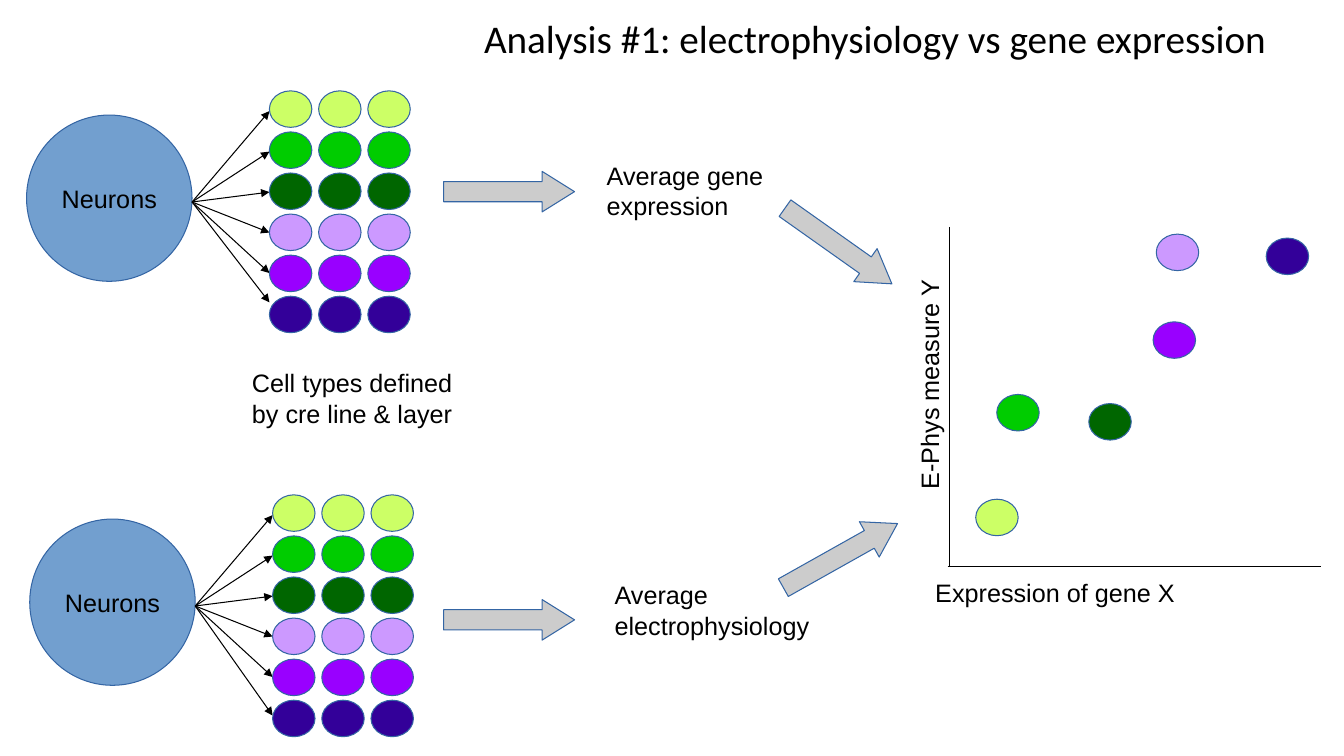
from dataclasses import dataclass
from lxml import etree
from pptx import Presentation
from pptx.dml.color import RGBColor
from pptx.enum.shapes import MSO_CONNECTOR, MSO_SHAPE
from pptx.enum.text import MSO_ANCHOR, MSO_AUTO_SIZE, PP_ALIGN
from pptx.oxml.ns import qn
from pptx.util import Cm, Pt


@dataclass(frozen=True)
class Theme:
    """Colours, fonts and sizes shared by the whole slide."""
    ink: str = "000000"
    outline: str = "3465A4"
    neuron: str = "729FCF"
    arrow: str = "CCCCCC"
    cell_types: tuple = ("CCFF66", "00CC00", "006600", "CC99FF", "9900FF", "330099")
    title_font: str = "Calibri"
    body_font: str = "Arial"
    title_size: float = 28
    body_size: float = 18
    line_width: float = 0.75
    dot_size: tuple = (1.07, 0.92)


THEME = Theme()


def apply_format(target, values):
    """Set every attribute named in values on the target."""
    for name, value in values.items():
        setattr(target, name, value)


def write_text(shape, text, font=THEME.body_font, size=THEME.body_size,
               align=PP_ALIGN.LEFT, anchor=MSO_ANCHOR.TOP, wrap=True):
    """Fill a shape with one formatted paragraph."""
    frame = shape.text_frame
    apply_format(frame, {"text": text, "word_wrap": wrap, "vertical_anchor": anchor,
                         "auto_size": MSO_AUTO_SIZE.NONE})
    paragraph = frame.paragraphs[0]
    paragraph.alignment = align
    apply_format(paragraph.font, {"name": font, "size": Pt(size)})
    paragraph.font.color.rgb = RGBColor.from_string(THEME.ink)


def add_label(slide, box, text, rotation=0):
    """Add a wrapped text box in the given box."""
    label = slide.shapes.add_textbox(*map(Cm, box))
    label.rotation = rotation
    write_text(label, text)


def add_figure(slide, kind, box, fill):
    """Add a filled and outlined preset shape."""
    shape = slide.shapes.add_shape(kind, *map(Cm, box))
    shape.shadow.inherit = False
    shape.fill.solid()
    shape.fill.fore_color.rgb = RGBColor.from_string(fill)
    shape.line.color.rgb = RGBColor.from_string(THEME.outline)
    shape.line.width = Pt(THEME.line_width)
    return shape


def add_dot(slide, left, top, color):
    """Add one cell-type dot."""
    add_figure(slide, MSO_SHAPE.OVAL, (left, top, *THEME.dot_size), color)


def add_line(slide, start, end, arrowhead=False):
    """Add a thin straight line, with an optional arrowhead at its end."""
    line = slide.shapes.add_connector(MSO_CONNECTOR.STRAIGHT, *map(Cm, (*start, *end)))
    line.line.color.rgb = RGBColor.from_string(THEME.ink)
    line.line.width = Pt(THEME.line_width)
    if arrowhead:
        etree.SubElement(line.line._get_or_add_ln(), qn("a:tailEnd"), type="triangle")
    etree.SubElement(line._element.spPr, qn("a:effectLst"))


def add_block_arrow(slide, left, top, rotation=0):
    """Add a grey block arrow."""
    arrow = add_figure(slide, MSO_SHAPE.RIGHT_ARROW, (left, top, 3.3, 1.02), THEME.arrow)
    arrow.adjustments[0], arrow.adjustments[1] = 0.5, 0.8
    arrow.rotation = rotation


def add_title(slide, box):
    """Place and format the title placeholder."""
    title = slide.shapes.title
    apply_format(title, dict(zip(("left", "top", "width", "height"), map(Cm, box))))
    write_text(title, "Analysis #1: electrophysiology vs gene expression",
               THEME.title_font, THEME.title_size, PP_ALIGN.CENTER)


def add_neuron_pool(slide, left, top, last_tip):
    """Draw the neurons circle fanning out to its grid of cell types."""
    circle = add_figure(slide, MSO_SHAPE.OVAL, (left, top + 0.61, 4.17, 4.19), THEME.neuron)
    write_text(circle, "Neurons", align=PP_ALIGN.CENTER, anchor=MSO_ANCHOR.MIDDLE, wrap=False)
    grid_left = left + 6.12
    tips = [0.51 + 1.02 * row for row in range(5)] + [last_tip]
    for row, (color, tip) in enumerate(zip(THEME.cell_types, tips)):
        add_line(slide, (left + 4.17, top + 2.8), (grid_left, top + tip), arrowhead=True)
        for column in range(3):
            add_dot(slide, grid_left + 1.24 * column, top + 1.035 * row, color)


def add_scatter(slide, left, top, width, height):
    """Draw the axes, axis labels and one dot per cell type."""
    add_line(slide, (left, top), (left, top + height))
    add_line(slide, (left - 0.05, top + height), (left + width, top + height))
    add_label(slide, (left - 0.61, top + height + 0.15, 7.11, 1.68), "Expression of gene X")
    add_label(slide, (left - 3.81, top + 2.39, 7.26, 1.68), "E-Phys measure Y", 270)
    positions = [(0.66, 6.86), (1.19, 4.22), (3.51, 4.45),
                 (5.21, 0.18), (5.13, 2.39), (7.98, 0.28)]
    for color, (x, y) in zip(THEME.cell_types, positions):
        add_dot(slide, left + x, top + y, color)


def main():
    """Build and save the slide."""
    presentation = Presentation()
    apply_format(presentation, {"slide_width": Cm(33.87), "slide_height": Cm(19.05)})
    slide = presentation.slides.add_slide(presentation.slide_layouts[5])
    add_title(slide, (11.51, 0.23, 21.08, 2.62))
    add_neuron_pool(slide, 0.67, 2.29, 5.33)
    add_neuron_pool(slide, 0.75, 12.47, 5.56)
    add_label(slide, (6.1, 9.14, 6.35, 1.68), "Cell types defined by cre line & layer")
    add_label(slide, (15.04, 3.91, 4.52, 1.68), "Average gene expression")
    add_label(slide, (15.24, 14.48, 5.44, 1.68), "Average electrophysiology")
    for arrow in ((11.18, 4.32), (11.18, 15.11), (19.48, 5.69, 35.3), (19.53, 13.49, 330.7)):
        add_block_arrow(slide, *arrow)
    add_scatter(slide, 23.93, 5.72, 9.37, 8.56)
    presentation.save("out.pptx")


if __name__ == "__main__":
    main()
